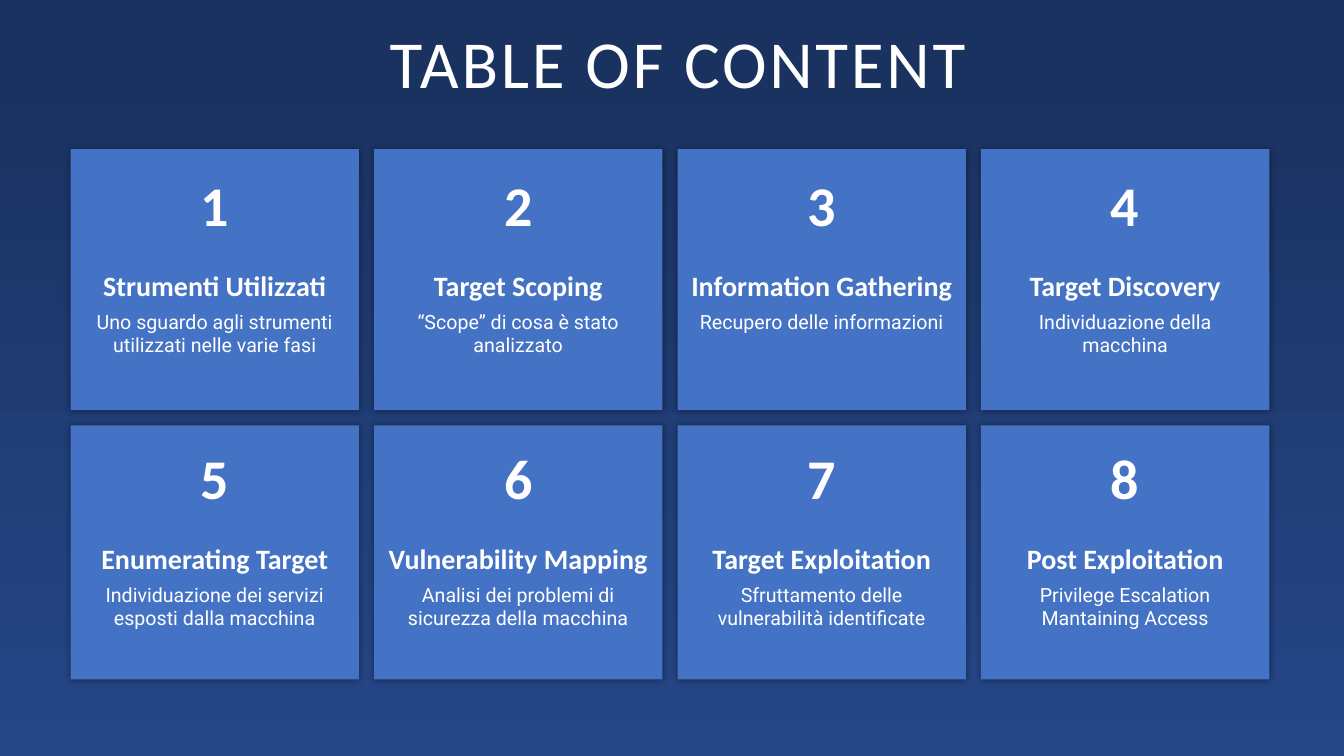
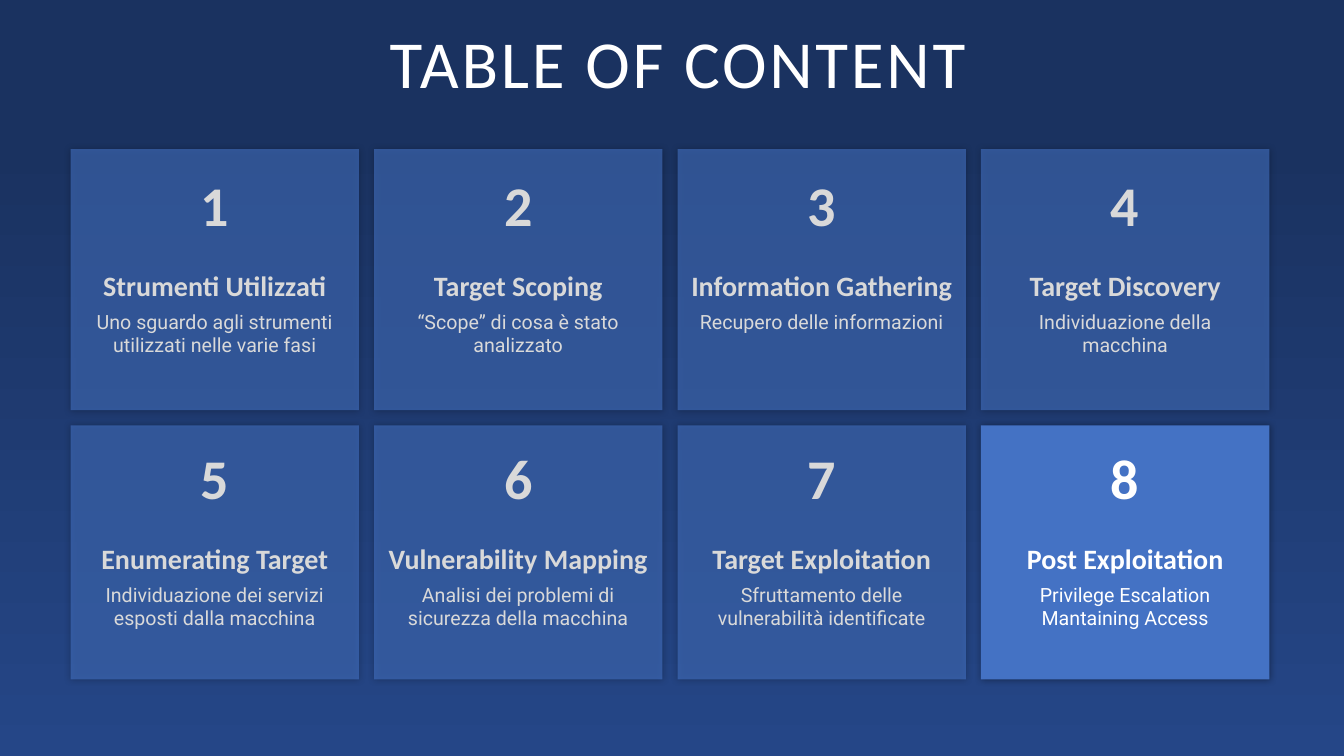
"""Build two table-of-content slides: every chapter lit, then only the last one."""
from pptx import Presentation
from pptx.dml.color import RGBColor
from pptx.enum.shapes import MSO_SHAPE
from pptx.enum.text import MSO_ANCHOR, PP_ALIGN
from pptx.oxml.ns import qn
from pptx.util import Inches, Pt
from lxml.etree import SubElement

RECTANGLE = MSO_SHAPE.RECTANGLE
CENTER = PP_ALIGN.CENTER
TOP, BOTTOM = MSO_ANCHOR.TOP, MSO_ANCHOR.BOTTOM

NAVY = RGBColor(0x1A, 0x32, 0x60)
ROYAL = RGBColor(0x25, 0x46, 0x87)
CARD_BLUE = RGBColor(0x44, 0x72, 0xC4)
WHITE = RGBColor(0xFF, 0xFF, 0xFF)
DIMMED = RGBColor(0xD9, 0xD9, 0xD9)

HEADING_FONT = "Calibri"
BODY_FONT = "Roboto"

COLUMNS = 4
CARD_LEFT, CARD_STEP, CARD_WIDTH = 0.7, 3.01, 2.86
CARD_ROWS = [(1.48, 2.59), (4.22, 2.52)]
TEXT_TOPS = [1.69, 4.4]
TITLE_DROP, BODY_DROP = 0.97, 1.38
BODY_INDENT = 0.1

CHAPTERS = [
    ("Strumenti Utilizzati", ["Uno sguardo agli strumenti utilizzati nelle varie fasi"]),
    ("Target Scoping", ["“Scope” di cosa è stato analizzato"]),
    ("Information Gathering", ["Recupero delle informazioni"]),
    ("Target Discovery", ["Individuazione della macchina"]),
    ("Enumerating Target", ["Individuazione dei servizi esposti dalla macchina"]),
    ("Vulnerability Mapping", ["Analisi dei problemi di sicurezza della macchina"]),
    ("Target Exploitation", ["Sfruttamento delle vulnerabilità identificate"]),
    ("Post Exploitation", ["Privilege Escalation", "Mantaining Access"]),
]


def set_background(page, start):
    """Fill the page with a vertical gradient that begins at the given share."""
    fill = page.background.fill
    fill.gradient()
    fill.gradient_angle = 270
    for stop, color, position in zip(fill.gradient_stops, (NAVY, ROYAL), (start, 1)):
        stop.color.rgb = color
        stop.position = position


def set_alpha(color_element, percent):
    """Give an XML colour element an opacity in percent."""
    SubElement(color_element, qn("a:alpha"), val=str(percent * 1000))


def add_text(page, left, top, width, height, lines, font, size, color,
             bold=False, anchor=TOP, top_inset=0.0):
    """Add a centred text box with one paragraph per line and return its paragraphs."""
    box = page.shapes.add_textbox(Inches(left), Inches(top), Inches(width), Inches(height))
    frame = box.text_frame
    frame.word_wrap = True
    frame.vertical_anchor = anchor
    frame.margin_top = Inches(top_inset)
    frame.text = "\n".join(lines)
    for paragraph in frame.paragraphs:
        paragraph.alignment = CENTER
        paragraph.font.name = font
        paragraph.font.size = Pt(size)
        paragraph.font.bold = bold
        paragraph.font.color.rgb = color
    return frame.paragraphs


def add_title(page, text):
    """Add the letter-spaced slide title."""
    paragraph = add_text(page, 0.06, 0.33, 13.33, 0.74, [text], HEADING_FONT, 48,
                         WHITE, anchor=BOTTOM, top_inset=0.05)[0]
    paragraph.line_spacing = 0.9
    paragraph.space_after = Pt(6)
    paragraph.runs[0]._r.get_or_add_rPr().set("spc", "200")


def add_card(page, left, top, height, lit):
    """Add a card with a soft glow-like shadow, see-through unless lit."""
    card = page.shapes.add_shape(RECTANGLE, Inches(left), Inches(top),
                                 Inches(CARD_WIDTH), Inches(height))
    card.fill.solid()
    card.fill.fore_color.rgb = CARD_BLUE
    card.line.fill.background()
    card.shadow.inherit = False
    properties = card._element.spPr
    if not lit:
        set_alpha(properties.find(qn("a:solidFill"))[0], 60)
    shadow = SubElement(properties.find(qn("a:effectLst")), qn("a:outerShdw"),
                        blurRad=str(Pt(5)), dist="0", dir="0", algn="ctr", rotWithShape="0")
    set_alpha(SubElement(shadow, qn("a:srgbClr"), val="000000"), 40)


def add_chapter(page, index, title, lines, lit):
    """Add the card, number, title and description of one chapter."""
    row, column = divmod(index, COLUMNS)
    left = CARD_LEFT + column * CARD_STEP
    top = TEXT_TOPS[row]
    color = WHITE if lit else DIMMED
    add_card(page, left, *CARD_ROWS[row], lit)
    add_text(page, left, top, CARD_WIDTH, 0.3, [str(index + 1)],
             HEADING_FONT, 40, color, bold=True)
    add_text(page, left, top + TITLE_DROP, CARD_WIDTH, 0.3, [title],
             HEADING_FONT, 20, color, bold=True)
    add_text(page, left + BODY_INDENT, top + BODY_DROP, CARD_WIDTH - 2 * BODY_INDENT, 0.47,
             lines, BODY_FONT, 14, color)


def add_contents_page(deck, gradient_start, lit_chapters):
    """Add a contents slide on which the given chapters are lit."""
    page = deck.slides.add_slide(deck.slide_layouts[6])
    set_background(page, gradient_start)
    add_title(page, "TABLE OF CONTENT")
    for index, (title, lines) in enumerate(CHAPTERS):
        add_chapter(page, index, title, lines, index in lit_chapters)


def main():
    """Build and save the deck."""
    deck = Presentation()
    deck.slide_width, deck.slide_height = Inches(13.33), Inches(7.5)
    everything = range(len(CHAPTERS))
    add_contents_page(deck, 0.09, everything)
    add_contents_page(deck, 0.19, everything[-1:])
    deck.save("out.pptx")


if __name__ == "__main__":
    main()
